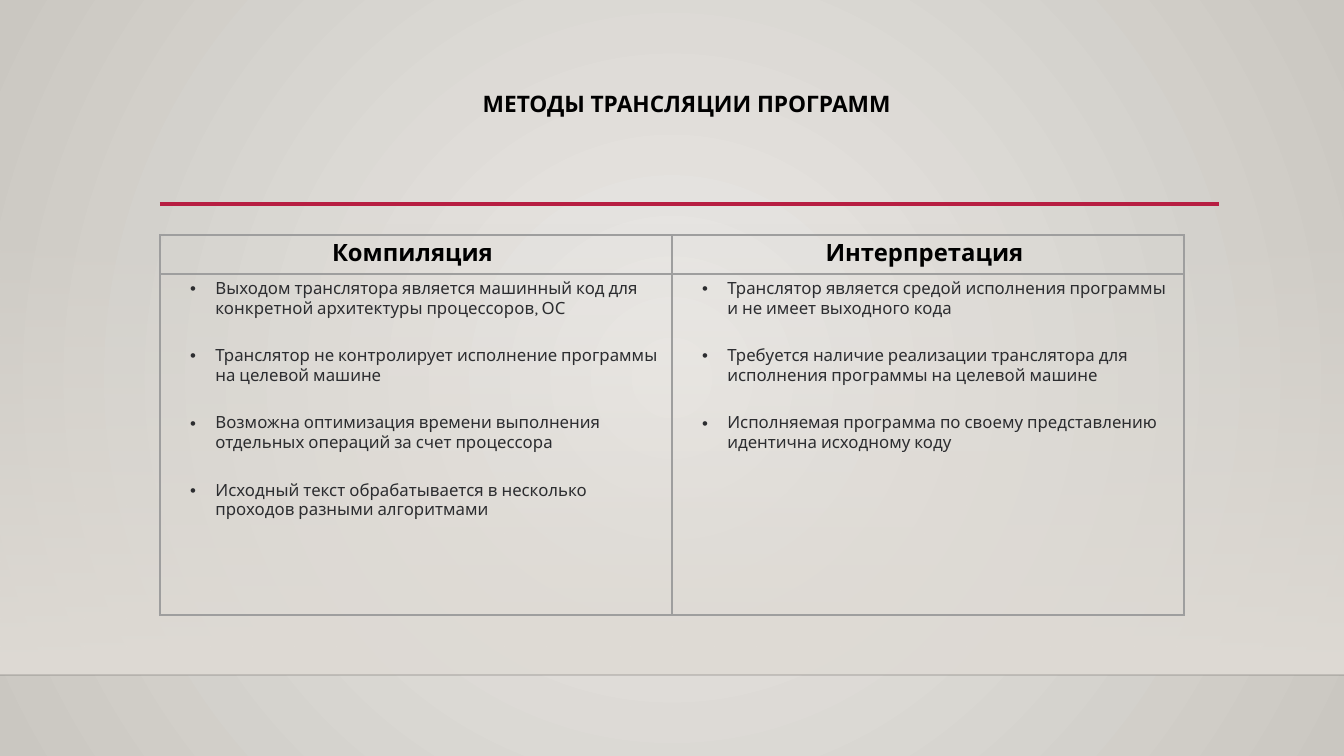
import pptx
import pptx.dml.color
import pptx.enum.dml
import pptx.enum.shapes
import pptx.enum.text
import pptx.oxml
import pptx.oxml.ns
import pptx.util

PX = 914400 / 100.8
FONT = "Karla"
RGB = pptx.dml.color.RGBColor
BLACK = RGB(0x00, 0x00, 0x00)
TEXT = RGB(0x2C, 0x2D, 0x30)
CRIMSON = RGB(0xB7, 0x1E, 0x42)
HORIZON = RGB(0x00, 0x00, 0x01)
BORDER = RGB(0x9E, 0x9E, 0x9E)
GLOW = RGB(0xEC, 0xEA, 0xE7)
EDGE = RGB(0xCA, 0xC7, 0xC1)
HAZE = RGB(0xDF, 0xDB, 0xD5)
CENTER = pptx.enum.text.PP_ALIGN.CENTER

TITLE = "МЕТОДЫ ТРАНСЛЯЦИИ ПРОГРАММ"
METHODS = {
    "Компиляция": [
        "Выходом транслятора является машинный код для конкретной архитектуры процессоров, ОС",
        "Транслятор не контролирует исполнение программы на целевой машине",
        "Возможна оптимизация времени выполнения отдельных операций за счет процессора",
        "Исходный текст обрабатывается в несколько проходов разными алгоритмами",
    ],
    "Интерпретация": [
        "Транслятор является средой исполнения программы и не имеет выходного кода",
        "Требуется наличие реализации транслятора для исполнения программы на целевой машине",
        "Исполняемая программа по своему представлению идентична исходному коду",
    ],
}


def px(length):
    return pptx.util.Emu(round(length * PX))


def assign(target, values):
    for name, value in values.items():
        setattr(target, name, value)


def element(xml):
    head, tail = xml.split(" ", 1)
    return pptx.oxml.parse_xml(f"{head} {pptx.oxml.ns.nsdecls('a')} {tail}")


def set_alpha(owner, percent):
    """Make the first colour inside the given XML element transparent."""
    owner.find(".//" + pptx.oxml.ns.qn("a:srgbClr")).append(
        element(f'<a:alpha val="{percent * 1000}"/>'))


def set_gradient(fill, colours):
    fill.gradient()
    for stop, position, colour in zip(fill.gradient_stops, (0, 1), colours):
        stop.position = position
        stop.color.rgb = colour


def write(para, text, size, colour, bold=False):
    span = para.add_run()
    span.text = text
    assign(span.font, {"name": FONT, "size": pptx.util.Pt(size), "bold": bold})
    span.font.color.rgb = colour


def add_rule(page, left, top, width, colour, weight):
    rule = page.shapes.add_connector(
        pptx.enum.shapes.MSO_CONNECTOR.STRAIGHT,
        px(left), px(top), px(left + width), px(top))
    rule.line.color.rgb = colour
    rule.line.width = pptx.util.Pt(weight)
    rule._element.spPr.append(element("<a:effectLst />"))
    return rule


def add_backdrop(page, width, horizon):
    set_gradient(page.background.fill, (GLOW, EDGE))
    gradient = page._element.find(".//" + pptx.oxml.ns.qn("a:gradFill"))
    gradient.replace(
        gradient.find(pptx.oxml.ns.qn("a:lin")),
        element('<a:path path="circle"><a:fillToRect l="50000" t="50000" '
                'r="50000" b="50000"/></a:path>'))

    haze_top = 223
    haze = page.shapes.add_shape(
        pptx.enum.shapes.MSO_SHAPE.RECTANGLE,
        0, px(haze_top), px(width), px(horizon - haze_top))
    haze.shadow.inherit = False
    haze.line.fill.background()
    set_gradient(haze.fill, (HAZE, HAZE))
    haze.fill.gradient_angle = 270
    set_alpha(haze._element.spPr, 0)

    line = add_rule(page, 0, horizon, width, HORIZON, 1)
    set_alpha(line._element.spPr, 20)


def add_title(page, left, top, width, height):
    box = page.shapes.add_textbox(px(left), px(top), px(width), px(height))
    frame = box.text_frame
    assign(frame, {"word_wrap": True,
                   "vertical_anchor": pptx.enum.text.MSO_ANCHOR.TOP})
    para = frame.paragraphs[0]
    assign(para, {"alignment": CENTER, "line_spacing": 0.9})
    write(para, TITLE, 16.2, BLACK, bold=True)


def style_cell(cell, margin_right):
    assign(cell, {"margin_left": px(5), "margin_right": px(margin_right),
                  "margin_top": px(5), "margin_bottom": px(5)})
    properties = cell._tc.get_or_add_tcPr()
    for side in "LRTB":
        properties.append(element(
            f'<a:ln{side} w="{pptx.util.Pt(1.2)}"><a:solidFill>'
            f'<a:srgbClr val="{BORDER}"/></a:solidFill></a:ln{side}>'))
    cell.fill.background()


def write_bullets(frame, points):
    for index, point in enumerate(points):
        para = frame.add_paragraph() if index else frame.paragraphs[0]
        assign(para, {"space_before": pptx.util.Pt(10),
                      "space_after": pptx.util.Pt(10)})
        properties = para._p.get_or_add_pPr()
        properties.set("marL", str(pptx.util.Inches(0.5)))
        properties.set("indent", str(-pptx.util.Inches(0.25)))
        properties.append(element('<a:buFont typeface="Arial"/>'))
        properties.append(element('<a:buChar char="•"/>'))
        write(para, point, 12, TEXT)


def add_comparison(page, left, top, width, height):
    header_height = 39
    table = page.shapes.add_table(
        2, len(METHODS), px(left), px(top), px(width), px(height)).table
    assign(table, {"first_row": False, "horz_banding": False})
    table.rows[0].height = px(header_height)
    table.rows[1].height = px(height - header_height)
    for index, (method, points) in enumerate(METHODS.items()):
        table.columns[index].width = px(width / len(METHODS))
        header, body = table.cell(0, index), table.cell(1, index)
        style_cell(header, 12)
        style_cell(body, 5)
        para = header.text_frame.paragraphs[0]
        para.alignment = CENTER
        write(para, method, 17, BLACK, bold=True)
        write_bullets(body.text_frame, points)


def main():
    deck = pptx.Presentation()
    assign(deck, {"slide_width": px(1344), "slide_height": px(756)})
    page = deck.slides.add_slide(deck.slide_layouts[6])
    add_backdrop(page, 1344, 675)
    add_rule(page, 160, 204, 1059, CRIMSON, 2.5)
    add_title(page, 160, 88, 1053, 116)
    add_comparison(page, 160, 235, 1024, 380)
    deck.save("out.pptx")


if __name__ == "__main__":
    main()
